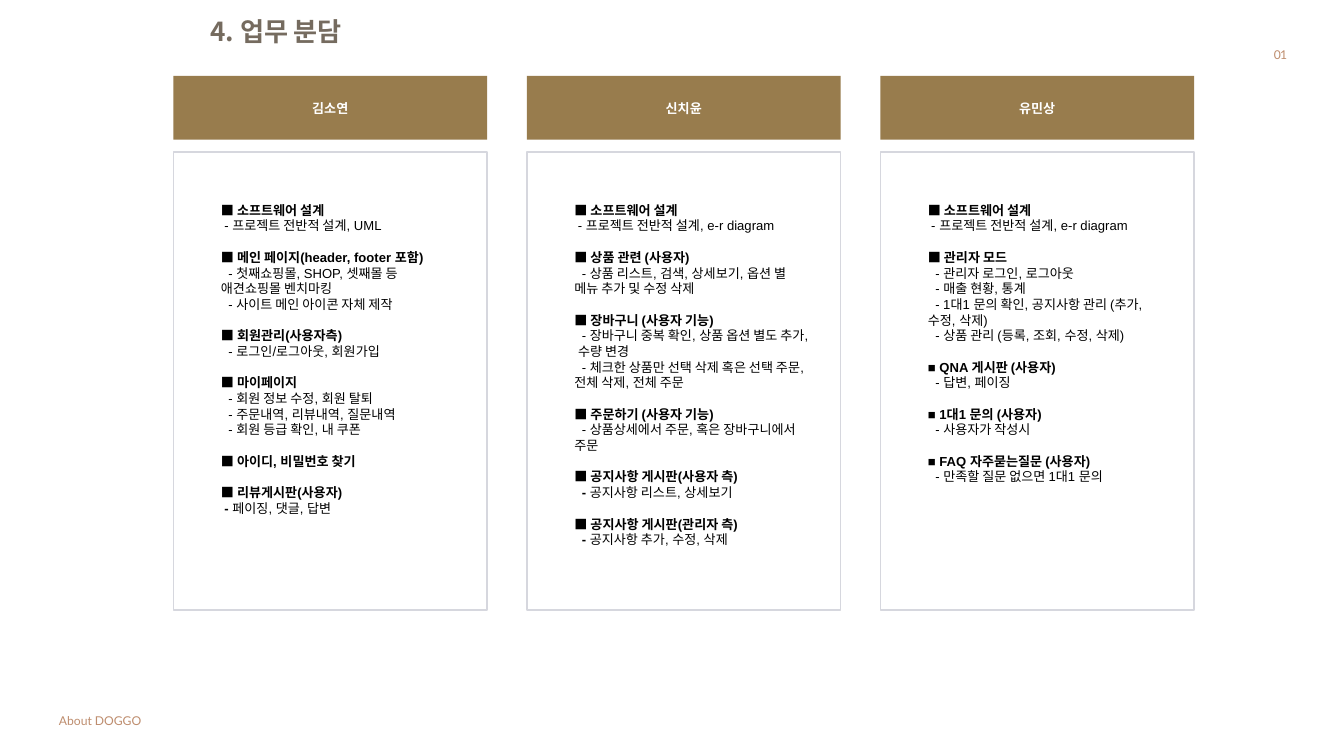
from pptx import Presentation
from pptx.dml.color import RGBColor
from pptx.enum import shapes, text
from pptx.util import Inches, Pt

BROWN = RGBColor(0x98, 0x7C, 0x4D)
GREY = RGBColor(0xD6, 0xD7, 0xDE)
TAUPE = RGBColor(0x75, 0x6B, 0x5F)
TAN = RGBColor(0xBE, 0x8D, 0x6E)
BLACK = RGBColor(0, 0, 0)
WHITE = RGBColor(0xFF, 0xFF, 0xFF)
NEAR, FAR = 0.05, 0.11

TEAM = [
    ("김소연", 4.81, [
        ("소프트웨어 설계", ["프로젝트 전반적 설계, UML"], NEAR, False),
        ("메인 페이지(header, footer 포함)",
         ["첫째쇼핑몰, SHOP, 셋째몰 등 애견쇼핑몰 벤치마킹",
          "사이트 메인 아이콘 자체 제작"], FAR, False),
        ("회원관리(사용자측)", ["로그인/로그아웃, 회원가입"], FAR, False),
        ("마이페이지",
         ["회원 정보 수정, 회원 탈퇴", "주문내역, 리뷰내역, 질문내역",
          "회원 등급 확인, 내 쿠폰"], FAR, False),
        ("아이디, 비밀번호 찾기", [], FAR, False),
        ("리뷰게시판(사용자)", ["페이징, 댓글, 답변"], NEAR, True),
    ]),
    ("신치윤", 5.28, [
        ("소프트웨어 설계", ["프로젝트 전반적 설계, e-r diagram"], NEAR, False),
        ("상품 관련 (사용자)",
         ["상품 리스트, 검색, 상세보기, 옵션 별 메뉴 추가 및 수정 삭제"], FAR, False),
        ("장바구니 (사용자 기능)",
         ["장바구니 중복 확인, 상품 옵션 별도 추가, 수량 변경",
          "체크한 상품만 선택 삭제 혹은 선택 주문, 전체 삭제, 전체 주문"], FAR, False),
        ("주문하기 (사용자 기능)",
         ["상품상세에서 주문, 혹은 장바구니에서 주문"], FAR, False),
        ("공지사항 게시판(사용자 측)", ["공지사항 리스트, 상세보기"], FAR, True),
        ("공지사항 게시판(관리자 측)", ["공지사항 추가, 수정, 삭제"], FAR, True),
    ]),
    ("유민상", 4.34, [
        ("소프트웨어 설계", ["프로젝트 전반적 설계, e-r diagram"], NEAR, False),
        ("관리자 모드",
         ["관리자 로그인, 로그아웃", "매출 현황, 통계",
          "1대1 문의 확인, 공지사항 관리 (추가, 수정, 삭제)",
          "상품 관리 (등록, 조회, 수정, 삭제)"], FAR, False),
        ("QNA 게시판 (사용자)", ["답변, 페이징"], FAR, False),
        ("1대1 문의 (사용자)", ["사용자가 작성시"], FAR, False),
        ("FAQ 자주묻는질문 (사용자)", ["만족할 질문 없으면 1대1 문의"], FAR, False),
    ]),
]


def style(run, face, size, color, bold=False):
    """Format one run."""
    font = run.font
    font.name, font.size, font.bold = face, Pt(size), bold
    font.color.rgb = color


def add_box(slide, x, y, w, h):
    """Add a wrapping text box and return its frame."""
    box = slide.shapes.add_textbox(Inches(x), Inches(y), Inches(w), Inches(h))
    frame = box.text_frame
    frame.word_wrap = True
    frame.auto_size = text.MSO_AUTO_SIZE.SHAPE_TO_FIT_TEXT
    return frame


def add_label(slide, words, x, y, w, h, face, size, color, bold=False):
    """Add a one-line label and return its paragraph."""
    frame = add_box(slide, x, y, w, h)
    frame.text = words
    line = frame.paragraphs[0]
    style(line.runs[0], face, size, color, bold)
    return line


def add_rect(slide, x, y, w, h):
    """Add a plain rectangle without shadow."""
    rect = slide.shapes.add_shape(shapes.MSO_SHAPE.RECTANGLE, Inches(x),
                                  Inches(y), Inches(w), Inches(h))
    rect.shadow.inherit = False
    return rect


def add_tasks(frame, parts):
    """Write each task heading with its dashed items."""
    line = frame.paragraphs[0]
    for num, (head, items, lead, bold) in enumerate(parts):
        if num:
            line = frame.add_paragraph()
            line.space_before = Pt(16.8)
        line.text = f"■ {head}"
        style(line.runs[0], "Arial", 14, BLACK, True)
        for item in items:
            line = frame.add_paragraph()
            line._p.get_or_add_pPr().set("indent", str(Inches(lead)))
            for words, heavy in (("- ", bold), (item, False)):
                run = line.add_run()
                run.text = words
                style(run, "Arial", 14, BLACK, heavy)


def add_member(slide, name, tall, parts, x, y, w, h):
    """Draw one member's name bar and task panel."""
    bar = add_rect(slide, x, y, w, 0.95)
    bar.fill.solid()
    bar.fill.fore_color.rgb = BROWN
    bar.line.fill.background()
    frame = bar.text_frame
    frame.text = name
    frame.vertical_anchor = text.MSO_ANCHOR.MIDDLE
    line = frame.paragraphs[0]
    line.alignment = text.PP_ALIGN.CENTER
    style(line.runs[0], "Calibri", 14, WHITE, True)

    panel = add_rect(slide, x, y + 1.13, w, h - 1.13)
    panel.fill.background()
    panel.line.color.rgb = GREY
    panel.line.width = Pt(1.5)
    add_tasks(add_box(slide, x + 0.61, y + 1.83, w - 1.01, tall), parts)


def main():
    """Build the slide and save it."""
    deck = Presentation()
    deck.slide_width, deck.slide_height = Inches(20), Inches(11.25)
    slide = deck.slides.add_slide(deck.slide_layouts[6])
    page = add_label(slide, "01", 18.34, 0.66, 0.91, 0.32, "Lato", 13, TAN)
    page.alignment = text.PP_ALIGN.RIGHT
    page.runs[0].font._element.set("spc", "-100")
    for num, (name, tall, parts) in enumerate(TEAM):
        add_member(slide, name, tall, parts, 2.58 + num * 5.26, 1.13, 4.67, 7.95)
    add_label(slide, "4. 업무 분담", 3.03, 0.18, 7.22, 0.57,
              "Noto Sans CJK KR", 28, TAUPE, True)
    add_label(slide, "About DOGGO", 0.78, 10.57, 3.97, 0.32, "Lato", 13, TAN)
    deck.save("out.pptx")


if __name__ == "__main__":
    main()
